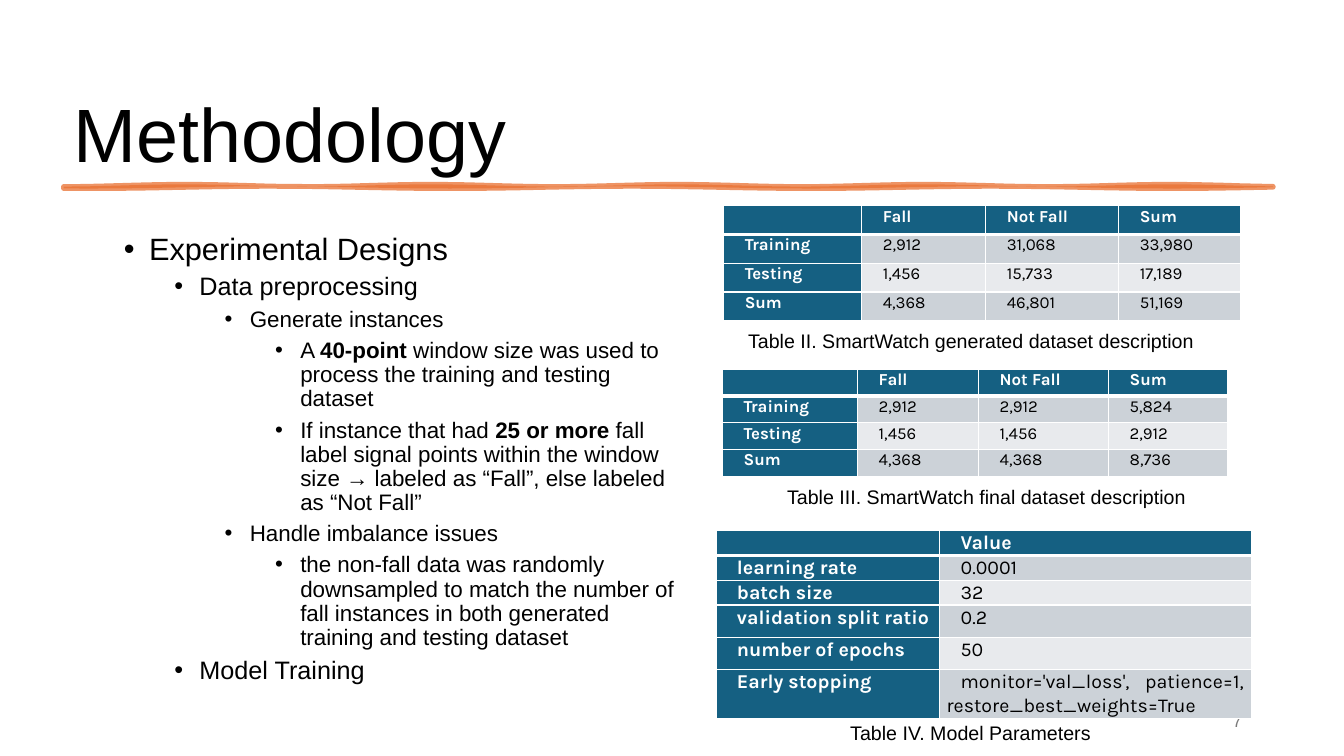
from math import sin

from lxml.etree import SubElement
from pptx import Presentation
from pptx.dml.color import RGBColor
from pptx.enum.text import MSO_ANCHOR, PP_ALIGN
from pptx.oxml.ns import qn
from pptx.util import Pt

BLACK = RGBColor(0x00, 0x00, 0x00)
WHITE = RGBColor(0xFF, 0xFF, 0xFF)
GRAY = RGBColor(0x79, 0x79, 0x79)
ORANGE = RGBColor(0xE9, 0x71, 0x32)
TEAL = RGBColor(0x15, 0x60, 0x82)
BAND_DARK = RGBColor(0xCC, 0xD2, 0xD8)
BAND_LIGHT = RGBColor(0xE8, 0xEA, 0xED)

TITLE = "Methodology"
BULLETS = [
    (1, "Experimental Designs"),
    (2, "Data preprocessing"),
    (3, "Generate instances"),
    (4, "A *40-point* window size was used to process the training and testing dataset"),
    (4, "If instance that had *25 or more *fall label signal points within the window size "
        "→ labeled as “Fall”, else labeled as “Not Fall”"),
    (3, "Handle imbalance issues"),
    (4, "the non-fall data was randomly downsampled to match the number of fall instances "
        "in both generated training and testing dataset"),
    (2, "Model Training"),
]
LEVEL_SIZES = {1: 22, 2: 18, 3: 16, 4: 16}

TABLES = [
    dict(left=517, top=146.9, size=12, cols=[98.6, 88.6, 95, 87.1], rows=[20.6] * 4,
         cells=[["", "Fall", "Not Fall", "Sum"],
                ["Training", "2,912", "31,068", "33,980"],
                ["Testing", "1,456", "15,733", "17,189"],
                ["Sum", "4,368", "46,801", "51,169"]]),
    dict(left=516.2, top=263.5, size=12, cols=[96.5, 86.4, 92.9, 85], rows=[19.2] * 4,
         cells=[["", "Fall", "Not Fall", "Sum"],
                ["Training", "2,912", "2,912", "5,824"],
                ["Testing", "1,456", "1,456", "2,912"],
                ["Sum", "4,368", "4,368", "8,736"]]),
    dict(left=511.4, top=379.2, size=14, cols=[159.8, 222.5],
         rows=[17.6, 17.6, 17.6, 23, 23, 34.6],
         cells=[["", "Value"],
                ["learning rate", "0.0001"],
                ["batch size", "32"],
                ["validation split ratio", "0.2"],
                ["number of epochs", "50"],
                ["Early stopping", "monitor='val_loss', patience=1, restore_best_weights=True"]]),
]
CAPTIONS = [
    ("Table II. SmartWatch generated dataset description", 448.6, 230.4, 480.2),
    ("Table III. SmartWatch final dataset description", 505.4, 342, 388.8),
    ("Table IV. Model Parameters", 483.1, 510.5, 410.4),
]


def write(p, text, size=14, font="Arial", color=BLACK, bold=False, align=None,
          spacing=None, before=0, margin=0, indent=0, bullet=False):
    p.alignment = align
    p.line_spacing = spacing
    p.space_before = Pt(before)
    pPr = p._p.get_or_add_pPr()
    pPr.set("marL", str(Pt(margin)))
    pPr.set("indent", str(Pt(indent)))
    if bullet:
        SubElement(pPr, qn("a:buFont"), typeface="Arial")
        SubElement(pPr, qn("a:buChar"), char="•")
    if not text:
        SubElement(p._p, qn("a:endParaRPr"), sz=str(size * 100))
        return
    for i, part in enumerate(text.split("*")):
        r = p.add_run()
        r.text = part
        r.font.size = Pt(size)
        r.font.name = font
        r.font.color.rgb = color
        r.font.bold = bold or i % 2 == 1


def add_box(s, left, top, width, height, anchor=MSO_ANCHOR.TOP):
    tf = s.shapes.add_textbox(Pt(left), Pt(top), Pt(width), Pt(height)).text_frame
    tf.word_wrap = True
    tf.vertical_anchor = anchor
    return tf


def set_borders(cell, bottom):
    tcPr = cell._tc.get_or_add_tcPr()
    for side, width in (("L", 1), ("R", 1), ("T", 1), ("B", bottom)):
        ln = SubElement(tcPr, qn(f"a:ln{side}"), w=str(Pt(width)))
        fill = SubElement(ln, qn("a:solidFill"))
        SubElement(fill, qn("a:srgbClr"), val=str(WHITE))


def add_table(s, left, top, size, cols, rows, cells):
    table = s.shapes.add_table(len(rows), len(cols), Pt(left), Pt(top),
                               Pt(sum(cols)), Pt(sum(rows))).table
    for column, width in zip(table.columns, cols):
        column.width = Pt(width)
    for i, height in enumerate(rows):
        table.rows[i].height = Pt(height)
        for j, text in enumerate(cells[i]):
            cell = table.cell(i, j)
            header = i == 0 or j == 0
            set_borders(cell, 3 if i == 0 else 1)
            cell.fill.solid()
            cell.fill.fore_color.rgb = TEAL if header else BAND_DARK if i % 2 else BAND_LIGHT
            cell.margin_left = cell.margin_right = Pt(5)
            cell.margin_top = cell.margin_bottom = Pt(0)
            write(cell.text_frame.paragraphs[0], text, size=size, font="Karla",
                  color=WHITE if header else BLACK, bold=header,
                  align=PP_ALIGN.JUSTIFY, spacing=1.05, indent=10)


def add_brush_rule(s, left=45.4, top=132.5, width=864, steps=72):
    xs = [left + width * i / steps for i in range(steps + 1)]
    upper = [(x, top + 0.8 * sin(x / 28)) for x in xs]
    lower = [(x, top + 1.4 + 0.8 * sin(x / 41)) for x in reversed(xs)]
    points = [(Pt(x), Pt(y)) for x, y in upper + lower]
    builder = s.shapes.build_freeform(*points[0])
    builder.add_line_segments(points[1:], close=True)
    sp = builder.convert_to_shape()
    sp.shadow.inherit = False
    sp.fill.solid()
    sp.fill.fore_color.rgb = ORANGE
    sp.line.color.rgb = ORANGE
    sp.line.width = Pt(3.5)
    for clr in sp._element.spPr.iter(qn("a:srgbClr")):
        SubElement(clr, qn("a:alpha"), val="75000")
    SubElement(sp.line._get_or_add_ln(), qn("a:round"))


def main():
    prs = Presentation()
    prs.slide_width, prs.slide_height = Pt(960), Pt(540)
    s = prs.slides.add_slide(prs.slide_layouts[5])

    title = s.shapes.title
    title.left, title.top, title.width, title.height = Pt(45.4), Pt(18.7), Pt(867.6), Pt(113)
    title.text_frame.vertical_anchor = MSO_ANCHOR.BOTTOM
    write(title.text_frame.paragraphs[0], TITLE, size=54, align=PP_ALIGN.LEFT, spacing=0.9)

    add_brush_rule(s)

    tf = add_box(s, 45.4, 163.4, 446.4, 340.6)
    for i, (level, text) in enumerate(BULLETS):
        p = tf.add_paragraph() if i else tf.paragraphs[0]
        p.level = level - 1
        write(p, text, size=LEVEL_SIZES[level], spacing=0.9, before=5,
              margin=18 + 36 * level, indent=-18, bullet=True)

    tf = add_box(s, 678.2, 500.4, 216, 28.8, MSO_ANCHOR.MIDDLE)
    write(tf.paragraphs[0], "7", size=12, color=GRAY, align=PP_ALIGN.RIGHT)

    for table, (caption, left, top, width) in zip(TABLES, CAPTIONS):
        add_table(s, **table)
        tf = add_box(s, left, top, width, 23.8)
        write(tf.paragraphs[0], caption, align=PP_ALIGN.CENTER, spacing=1.05, indent=10)

    prs.save("out.pptx")


if __name__ == "__main__":
    main()
